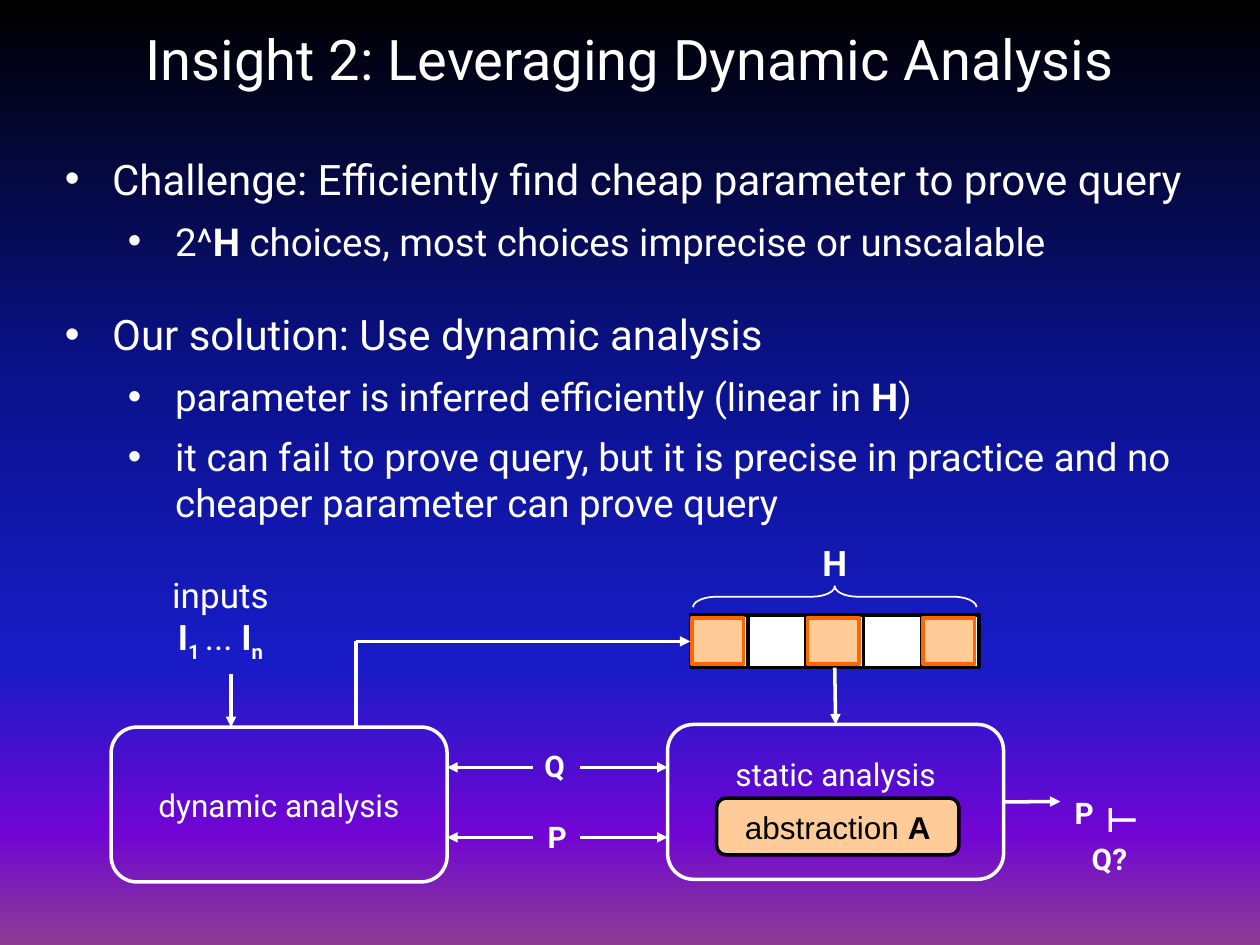
from lxml.etree import SubElement
from pptx import Presentation
from pptx.dml.color import RGBColor
from pptx.enum.shapes import MSO_CONNECTOR, MSO_SHAPE
from pptx.enum.text import MSO_ANCHOR as Anchor, MSO_AUTO_SIZE as AutoSize, PP_ALIGN as Align
from pptx.oxml.ns import qn
from pptx.util import Pt

COLORS = {"white": "FFFFFF", "black": "000000", "peach": "FFCC99", "orange": "FF6600"}
BACKGROUND = [(0, "000000"), (40, "0A128C"), (70, "181CC7"), (88, "7005D4"), (100, "8C3D91")]


def add_line(start, end, color="white", arrow=True):
    line = slide.shapes.add_connector(MSO_CONNECTOR.STRAIGHT, *map(Pt, start + end))
    line.line.color.rgb = RGBColor.from_string(COLORS[color])
    line.line.width = Pt(2)
    properties = line._element.spPr
    if arrow:
        SubElement(properties.find(qn("a:ln")), qn("a:tailEnd"), type="triangle")
    SubElement(properties, qn("a:effectLst"))
    return line


def add_box(kind, place, fill=None, border=None, width=2):
    """Add a preset shape at (left, top, width, height) in points."""
    box = slide.shapes.add_shape(kind, *map(Pt, place))
    box.shadow.inherit = False
    if fill:
        box.fill.solid()
        box.fill.fore_color.rgb = RGBColor.from_string(COLORS[fill])
    else:
        box.fill.background()
    box.line.color.rgb = RGBColor.from_string(COLORS[border])
    box.line.width = Pt(width)
    return box


deck = Presentation()
deck.slide_width, deck.slide_height = Pt(720), Pt(540)
slide = deck.slides.add_slide(deck.slide_layouts[5])

# Background gradient, top to bottom
fill = slide.background.fill
fill.gradient()
fill.gradient_angle = 270
stops = slide._element.find(".//" + qn("a:gsLst"))
for stop in list(stops):
    stops.remove(stop)
for percent, color in BACKGROUND:
    stop = SubElement(stops, qn("a:gs"), pos=str(percent * 1000))
    SubElement(stop, qn("a:srgbClr"), val=color)

# Title
title = slide.shapes.title
title.left, title.top, title.width, title.height = Pt(0), Pt(6), Pt(720), Pt(54)
frame = title.text_frame
frame.text = "Insight 2: Leveraging Dynamic Analysis"
frame.auto_size = AutoSize.NONE
frame.vertical_anchor = Anchor.MIDDLE
frame.paragraphs[0].alignment = Align.CENTER
font = frame.paragraphs[0].runs[0].font
font.name, font.size = "Roboto", Pt(32)
font.color.rgb = RGBColor.from_string(COLORS["white"])

# Bullets: level, space before, pieces of text (every second piece is bold)
bullets = [
    (0, 0, ["Challenge: Efficiently find cheap parameter to prove query"]),
    (1, 8, ["2^", "H", " choices, most choices imprecise or unscalable"]),
    (0, 25.5, ["Our solution: Use dynamic analysis"]),
    (1, 8, ["parameter is inferred efficiently (linear in ", "H", ")"]),
    (1, 8, ["it can fail to prove query, but it is precise in practice and no "
            "cheaper parameter can prove query"]),
]
frame = slide.shapes.add_textbox(Pt(30), Pt(84), Pt(666), Pt(258)).text_frame
frame.word_wrap = True
for index, (level, space, pieces) in enumerate(bullets):
    para = frame.add_paragraph() if index else frame.paragraphs[0]
    para.level = level
    para.space_before = Pt(space)
    properties = para._p.get_or_add_pPr()
    properties.set("marL", str(Pt(27 + 36 * level)))
    properties.set("indent", str(-Pt(27)))
    SubElement(SubElement(properties, qn("a:buClr")), qn("a:srgbClr"), val=COLORS["white"])
    SubElement(properties, qn("a:buFont"), typeface="Arial")
    SubElement(properties, qn("a:buChar"), char="•")
    for number, piece in enumerate(pieces):
        span = para.add_run()
        span.text = piece
        span.font.name, span.font.size = "Roboto", Pt(24 - 2 * level)
        span.font.bold = number % 2 == 1
        span.font.color.rgb = RGBColor.from_string(COLORS["white"])

# Analysis boxes
dynamic = add_box(MSO_SHAPE.ROUNDED_RECTANGLE, (63.5, 415.5, 192, 88.5), border="white")
static = add_box(MSO_SHAPE.ROUNDED_RECTANGLE, (381.5, 414, 192, 88.5), border="white")
abstraction = add_box(MSO_SHAPE.ROUNDED_RECTANGLE, (409.5, 456, 138.5, 32.5), "peach", "black")

# Parameter bar with five cells, every second one chosen
bar_left, bar_top, cell, bar_height = 394.5, 351.5, 33, 30
bar = add_box(MSO_SHAPE.RECTANGLE, (bar_left, bar_top, 5 * cell, bar_height), "white", "black")
for index in range(1, 5):
    x = bar_left + index * cell
    add_line((x, bar_top), (x, bar_top + bar_height), "black", arrow=False)
for index in range(0, 5, 2):
    add_box(MSO_SHAPE.RECTANGLE, (bar_left + index * cell + 1, bar_top + 1.5, 29.5, 26.5),
            "peach", "orange")
brace = add_box(MSO_SHAPE.LEFT_BRACE, (471, 260, 12, 162), border="white", width=1)
brace.rotation = 90
brace.adjustments[0] = 1.125

# Arrows
add_line((203.5, 415.5), (203.5, 366.5), arrow=False)
add_line((203.5, 366.5), (394.5, 366.5)).end_connect(bar, 1)
add_line((132, 385), (132, 415.5))
bar_to_static = add_line((477, 381.5), (477.5, 414))
bar_to_static.begin_connect(bar, 2)
bar_to_static.end_connect(static, 0)
add_line((573.5, 458), (606, 458)).begin_connect(static, 3)
for y in (438.5, 478.5):
    add_line((304.5, y), (255.5, y))
    add_line((331.5, y), (381.5, y))

# Labels: box or place, then lines of (text, size, bold, font, baseline)
labels = [
    (dynamic, [[("dynamic analysis", 18, False, "Roboto", 0)]]),
    (static, [[("static analysis", 18, False, "Roboto", 0)]]),
    (abstraction, [[("abstraction ", 18, False, "Arial", 0), ("A", 18, True, "Arial", 0)]]),
    ((301.5, 422, 31, 31), [[("Q", 17, True, "Roboto", 0)]]),
    ((303, 462.5, 31, 31), [[("P", 17, True, "Roboto", 0)]]),
    ((462, 306, 30, 31), [[("H", 20, True, "Roboto", 0)]]),
    ((85.5, 326, 81, 55), [
        [("inputs", 20, False, "Roboto", 0)],
        [("I", 20, True, "Roboto", 0), ("1 ", 20, True, "Roboto", -25),
         ("... ", 20, False, "Roboto", 0), ("I", 20, True, "Roboto", 0),
         ("n", 20, True, "Roboto", -25)]]),
    ((595, 436, 78, 58), [
        [("P", 17, True, "Roboto", 0), (" ", 18, True, "Roboto", 0),
         ("⊢", 42, True, "Times New Roman", -10)],
        [("Q?", 17, True, "Roboto", 0)]]),
]
for place, lines in labels:
    box = slide.shapes.add_textbox(*map(Pt, place)) if isinstance(place, tuple) else place
    frame = box.text_frame
    frame.word_wrap = False
    frame.vertical_anchor = Anchor.MIDDLE
    for index, line in enumerate(lines):
        para = frame.add_paragraph() if index else frame.paragraphs[0]
        para.alignment = Align.CENTER
        for text, size, bold, name, baseline in line:
            span = para.add_run()
            span.text = text
            span.font.name, span.font.size, span.font.bold = name, Pt(size), bold
            color = "black" if box is abstraction else "white"
            span.font.color.rgb = RGBColor.from_string(COLORS[color])
            if baseline:
                span.font._element.set("baseline", str(baseline * 1000))
static.text_frame.vertical_anchor = Anchor.TOP
static.text_frame.margin_top = Pt(13)

deck.save("out.pptx")
